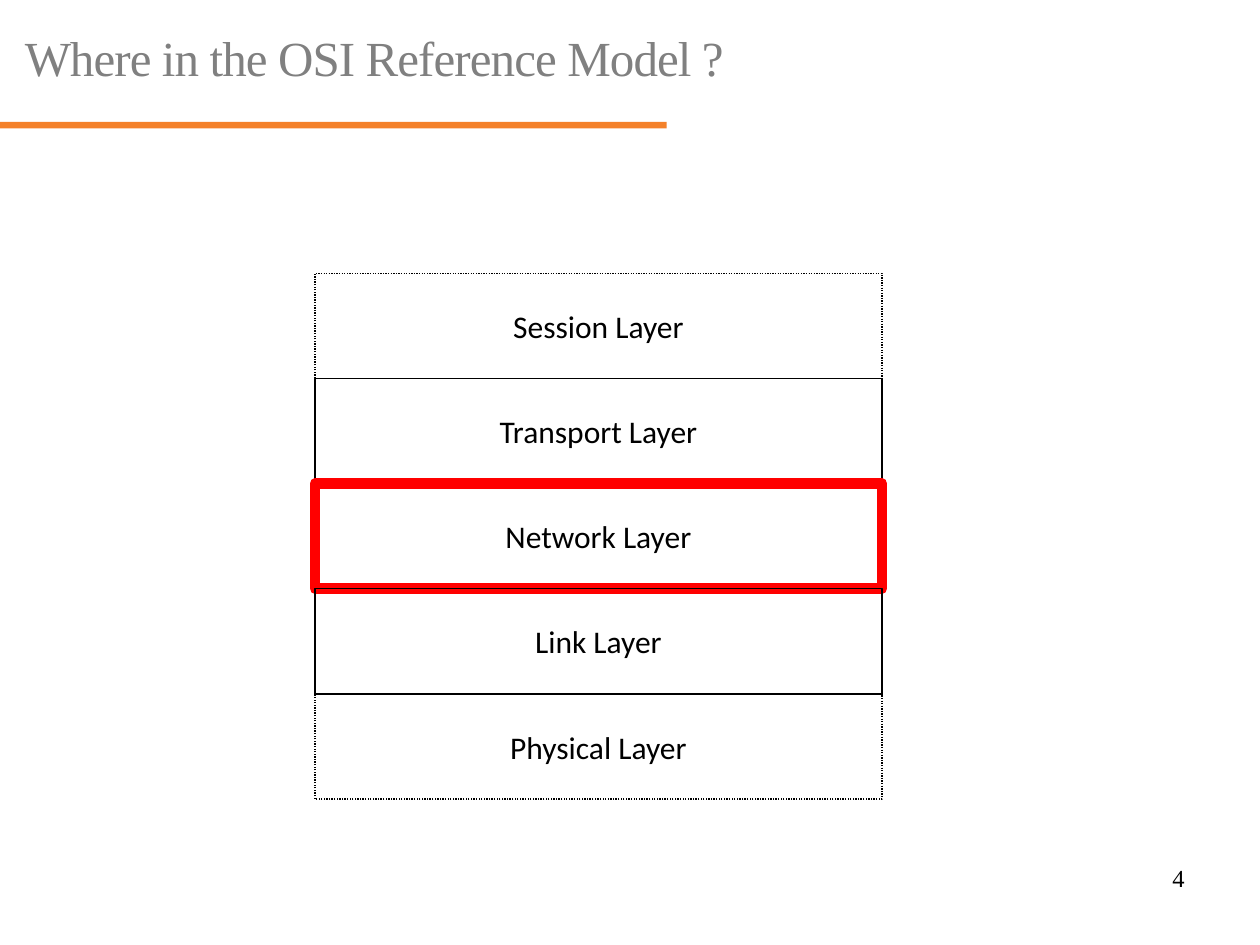
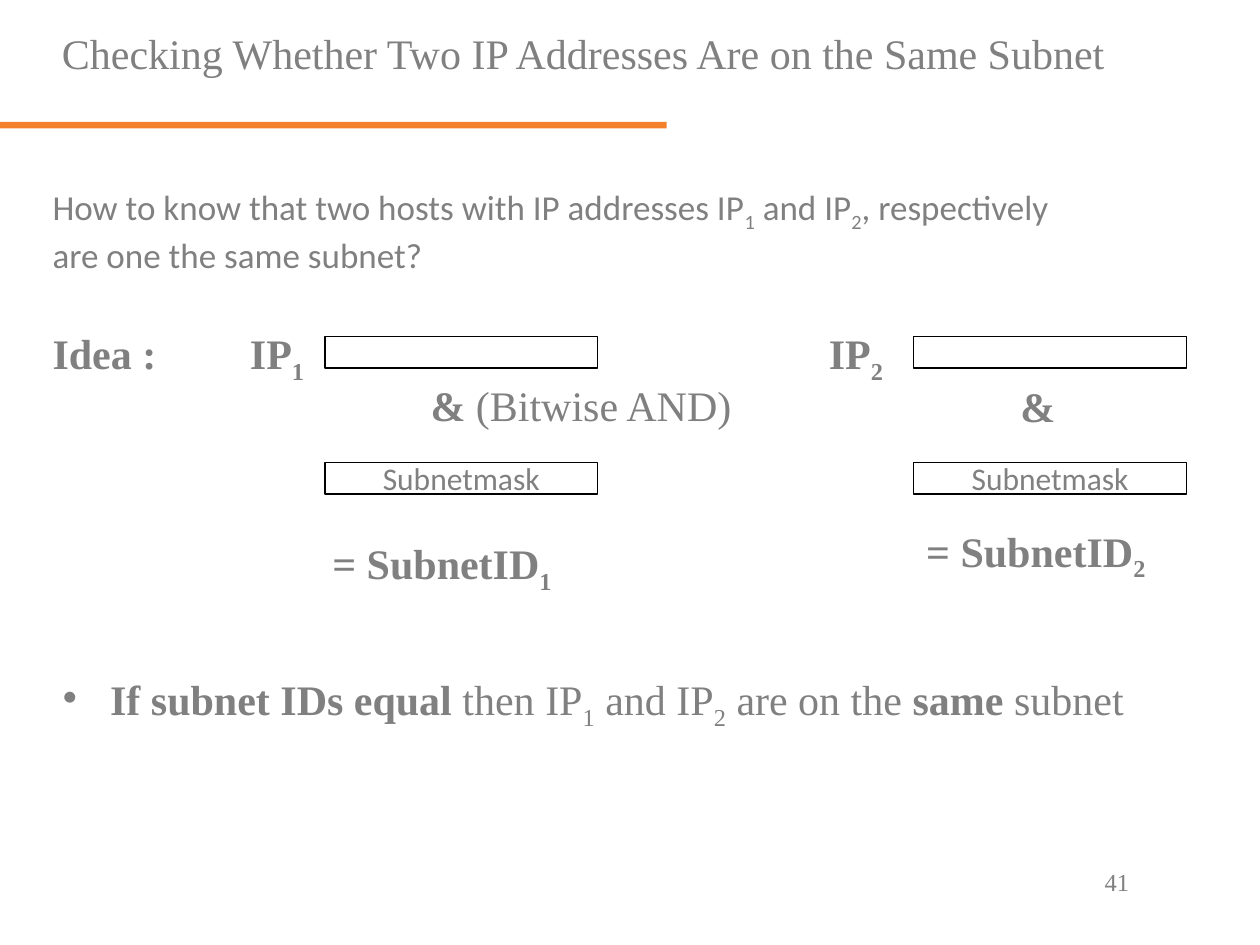
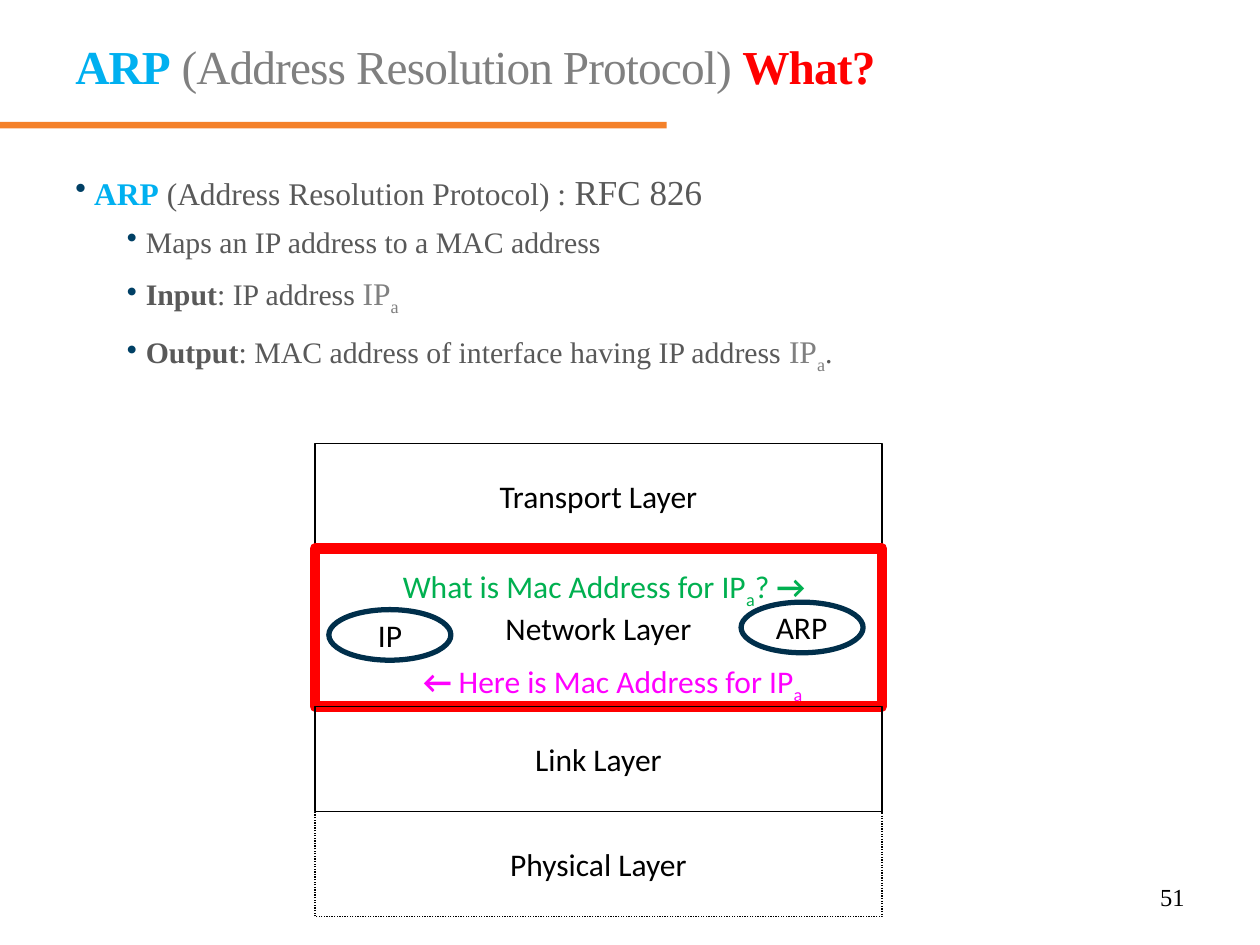
from dataclasses import dataclass
from typing import Any, Optional

import lxml.etree
import pptx
import pptx.dml.color
import pptx.enum.dml
import pptx.enum.shapes
import pptx.enum.text
import pptx.oxml.ns
import pptx.util

Cm = pptx.util.Cm
Pt = pptx.util.Pt
qn = pptx.oxml.ns.qn
ALIGN = pptx.enum.text.PP_ALIGN
ANCHOR = pptx.enum.text.MSO_ANCHOR
SHAPE = pptx.enum.shapes.MSO_SHAPE

COLORS = {
    "black": "000000", "gray": "808080", "dark": "595959", "orange": "F4812A",
    "red": "FF0000", "sky": "00B0F0", "navy": "002F4B", "bullet": "004065",
    "green": "00B050", "magenta": "FF00FF",
}
SERIF = "Times New Roman"
SANS = "Calibri"

Box = tuple[float, float, float, float]


@dataclass
class Run:
    text: str
    color: Optional[str] = None
    bold: Optional[bool] = None
    size: Optional[float] = None
    sub: bool = False


@dataclass
class Para:
    runs: list[Run]
    level: int = 0
    bullet: bool = False
    bullet_color: Optional[str] = None
    indent: float = 0
    hang: float = 0
    line: Optional[float] = None
    before: Optional[float] = None
    after: Optional[float] = None
    tabs: tuple[float, ...] = ()


@dataclass
class Layer:
    name: str
    height: float = 2.12
    color: str = "black"
    width: float = 0.75
    dotted: bool = False


SESSION = Layer("Session Layer", dotted=True)
TRANSPORT = Layer("Transport Layer")
LINK = Layer("Link Layer")
PHYSICAL = Layer("Physical Layer", dotted=True)


def network(height: float) -> Layer:
    return Layer("Network Layer", height, "red", 6)


def rgb(name: str) -> pptx.dml.color.RGBColor:
    return pptx.dml.color.RGBColor.from_string(COLORS[name])


def place(box: Box) -> list[int]:
    return [Cm(v) for v in box]


def format_para(p: Any, para: Para) -> None:
    pPr = p._p.get_or_add_pPr()
    if para.bullet:
        pPr.set("marL", str(Cm(para.indent)))
        pPr.set("indent", str(-Cm(para.hang)))
        if para.bullet_color:
            clr = lxml.etree.SubElement(pPr, qn("a:buClr"))
            lxml.etree.SubElement(clr, qn("a:srgbClr"), val=COLORS[para.bullet_color])
        lxml.etree.SubElement(pPr, qn("a:buChar"), char="•")
    if para.tabs:
        tabs = lxml.etree.SubElement(pPr, qn("a:tabLst"))
        for pos in para.tabs:
            lxml.etree.SubElement(tabs, qn("a:tab"), pos=str(Cm(pos)), algn="l")
    p.level = para.level
    if para.line:
        p.line_spacing = para.line
    if para.before:
        p.space_before = Pt(para.before)
    if para.after:
        p.space_after = Pt(para.after)


def write(tf: Any, text: str | list[Para], *, font: str = SERIF, size: float = 24,
          color: str = "gray", bold: bool = False, align: Any = ALIGN.LEFT,
          anchor: Any = ANCHOR.TOP, wrap: bool = False, spacing: int = 0) -> None:
    tf.word_wrap = wrap
    tf.vertical_anchor = anchor
    paras = [Para([Run(text)])] if isinstance(text, str) else text
    for i, para in enumerate(paras):
        p = tf.add_paragraph() if i else tf.paragraphs[0]
        format_para(p, para)
        p.alignment = align
        for run in para.runs:
            r = p.add_run()
            r.text = run.text
            r.font.name = font
            r.font.size = Pt(run.size or size)
            r.font.bold = bold if run.bold is None else run.bold
            r.font.color.rgb = rgb(run.color or color)
            rPr = r._r.get_or_add_rPr()
            if run.sub:
                rPr.set("baseline", "-25000")
            if spacing:
                rPr.set("spc", str(spacing))


def add_text(s: Any, box: Box, text: str | list[Para], **fmt: Any) -> None:
    write(s.shapes.add_textbox(*place(box)).text_frame, text, **fmt)


def add_outline(s: Any, box: Box, *, kind: Any = SHAPE.RECTANGLE, color: str = "black",
                width: float = 0.75, dotted: bool = False) -> Any:
    sp = s.shapes.add_shape(kind, *place(box))
    sp.shadow.inherit = False
    sp.fill.background()
    sp.line.color.rgb = rgb(color)
    sp.line.width = Pt(width)
    if dotted:
        sp.line.dash_style = pptx.enum.dml.MSO_LINE.ROUND_DOT
    return sp


def add_label_box(s: Any, box: Box, text: str, text_color: str, **outline: Any) -> None:
    sp = add_outline(s, box, **outline)
    write(sp.text_frame, text, font=SANS, size=18, color=text_color,
          align=ALIGN.CENTER, anchor=ANCHOR.MIDDLE)


def add_stack(s: Any, top: float, layers: list[Layer]) -> None:
    for layer in layers:
        add_label_box(s, (6.35, top, 11.43, layer.height), layer.name, "black",
                      color=layer.color, width=layer.width, dotted=layer.dotted)
        top += layer.height


def add_module(s: Any, left: float, top: float, name: str, label: tuple[float, float]) -> None:
    group = s.shapes.add_group_shape()
    add_text(group, (label[0], top, label[1], 1.02), name,
             font=SANS, size=18, color="black")
    add_outline(group, (left, top, 2.46, 1.02), kind=SHAPE.OVAL, color="navy", width=3)


def add_slide(prs: Any, title: str | list[Para], title_box: Box, number: str,
              number_box: Box, title_fmt: dict[str, Any], number_fmt: dict[str, Any]) -> Any:
    s = prs.slides.add_slide(prs.slide_layouts[6])
    bar = s.shapes.add_shape(SHAPE.RECTANGLE, *place((0, 2.46, 13.44, 0.13)))
    bar.shadow.inherit = False
    bar.fill.solid()
    bar.fill.fore_color.rgb = rgb("orange")
    bar.line.fill.background()
    add_text(s, number_box, number, size=14, wrap=True, **number_fmt)
    add_text(s, title_box, title, wrap=True, **title_fmt)
    return s


RIGHT_NUMBER = {"color": "black", "align": ALIGN.RIGHT}


def osi_slide(prs: Any) -> None:
    title = [Para([Run("Where in the OSI Reference Model ?")], line=0.9)]
    s = add_slide(prs, title, (0.25, 0.56, 24.56, 1.42), "4", (18.21, 17.27, 5.92, 1.02),
                  {"size": 28, "spacing": -50}, RIGHT_NUMBER)
    add_stack(s, 5.51, [SESSION, TRANSPORT, network(2.12), LINK, PHYSICAL])


def subnet_slide(prs: Any) -> None:
    s = add_slide(prs, "Checking Whether Two IP Addresses Are on the Same Subnet",
                  (1, 0, 24.4, 2.13), "41", (22.02, 17.35, 1.47, 0.64),
                  {"anchor": ANCHOR.MIDDLE}, {})
    one, two = Run("1", sub=True), Run("2", sub=True)
    question = [
        Para([Run("How to know that two hosts with IP addresses IP"), one,
              Run(" and IP"), two, Run(", respectively")]),
        Para([Run("are one the same subnet?")]),
    ]
    add_text(s, (0.81, 3.61, 21.21, 1.96), question, font=SANS, size=20)
    idea = Para([Run("Idea :\tIP"), one, Run("\tIP"), two], tabs=(3.98, 15.65))
    add_text(s, (0.81, 6.48, 23.52, 1.27), [idea], bold=True, wrap=True)

    for left in (6.55, 18.42):
        add_outline(s, (left, 6.78, 5.5, 0.64))
        add_label_box(s, (left, 9.32, 5.5, 0.64), "Subnetmask", "gray")
    add_text(s, (8.43, 7.52, 6.63, 1.27),
             [Para([Run("&", bold=True), Run(" (Bitwise AND)")])])
    add_text(s, (20.32, 7.54, 1.22, 1.27), "&", bold=True)
    for left, top, index in ((6.45, 10.72, one), (18.42, 10.46, two)):
        add_text(s, (left, top, 5.03, 1.27),
                 [Para([Run("= SubnetID"), index])], bold=True)

    conclusion = Para([Run("If subnet IDs equal ", bold=True), Run("then IP"), one,
                       Run(" and IP"), two, Run(" are on the "),
                       Run("same", bold=True), Run(" subnet")],
                      bullet=True, indent=0.95, hang=0.95)
    add_text(s, (1.02, 13.46, 22.17, 1.27), [conclusion])


def arp_slide(prs: Any) -> None:
    arp = Run("ARP", "sky", True)
    title = [Para([arp, Run(" (Address Resolution Protocol) "),
                   Run("What?", "red", True)], line=0.9)]
    s = add_slide(prs, title, (1.27, 0.76, 22.86, 1.7), "51", (18.21, 17.65, 5.92, 1.02),
                  {"size": 27, "spacing": -50}, RIGHT_NUMBER)
    ip_a = [Run("IP", "gray", size=18), Run("a", "gray", size=18, sub=True)]
    details = [
        [Run("Maps an IP address to a MAC address")],
        [Run("Input", bold=True), Run(": IP address "), *ip_a],
        [Run("Output", bold=True),
         Run(": MAC address of interface having IP address "), *ip_a, Run(".")],
    ]
    heading = Para([Run("ARP", "sky", True, 18),
                    Run(" (Address Resolution Protocol) : ", size=18),
                    Run("RFC 826", size=20)],
                   bullet=True, bullet_color="bullet", indent=0.38, hang=0.38, line=1.2)
    body = [heading] + [
        Para(runs, level=1, bullet=True, bullet_color="bullet", indent=1.42, hang=0.38,
             line=1.2, before=1.9, after=1.9)
        for runs in details
    ]
    add_text(s, (1.27, 3.15, 22.86, 6.5), body, size=17, color="dark", wrap=True)

    add_stack(s, 8.94, [TRANSPORT, network(3.18), LINK, PHYSICAL])
    add_module(s, 6.63, 12.29, "IP", (7.37, 0.99))
    add_module(s, 14.94, 12.14, "ARP", (15.39, 1.65))
    a = Run("a", sub=True)
    add_text(s, (7.87, 11.3, 8.97, 1.02),
             [Para([Run("What is Mac Address for IP"), a, Run("? "), Run("→", bold=True)])],
             font=SANS, size=18, color="green")
    add_text(s, (8.28, 13.23, 8.43, 1.02),
             [Para([Run("← ", bold=True), Run("Here is Mac Address for IP"), a])],
             font=SANS, size=18, color="magenta")


def main() -> None:
    prs = pptx.Presentation()
    prs.slide_width, prs.slide_height = Cm(25.4), Cm(19.05)
    osi_slide(prs)
    subnet_slide(prs)
    arp_slide(prs)
    prs.save("out.pptx")


if __name__ == "__main__":
    main()
